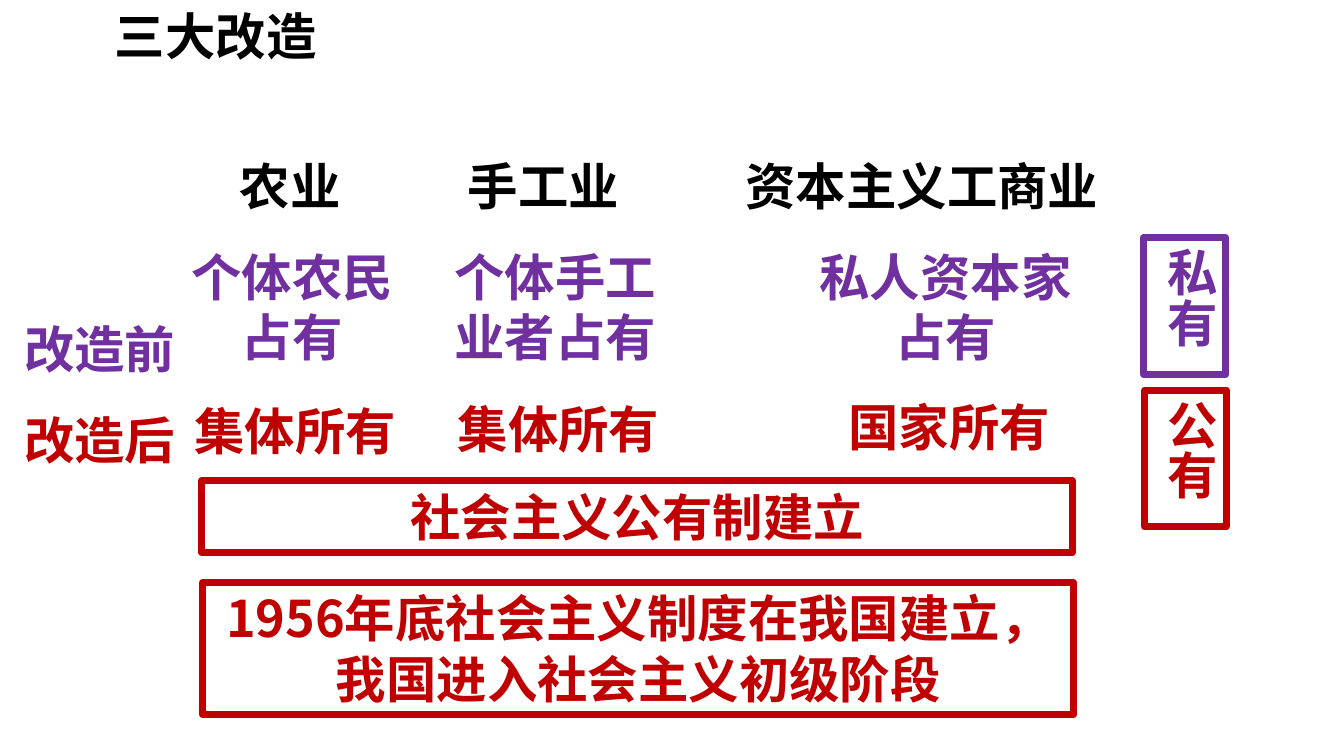
from lxml.etree import SubElement
from pptx import Presentation
from pptx.dml.color import RGBColor
from pptx.enum.shapes import MSO_SHAPE
from pptx.enum.text import MSO_ANCHOR, MSO_AUTO_SIZE, PP_ALIGN
from pptx.oxml.ns import qn
from pptx.util import Cm, Pt

FONT = "Noto Sans CJK JP"
BLACK = RGBColor(0x00, 0x00, 0x00)
PURPLE = RGBColor(0x70, 0x30, 0xA0)
RED = RGBColor(0xC0, 0x00, 0x00)
LINE, PAIR = 1.8, 3.33  # heights of one and two lines of text

deck = Presentation()
deck.slide_width, deck.slide_height = Cm(33.87), Cm(19.05)
slide = deck.slides.add_slide(deck.layouts[5] if hasattr(deck, "layouts") else deck.slide_layouts[5])
shapes = slide.shapes


def write(shape, text, colors, align=PP_ALIGN.CENTER, space=1.0, stops=()):
    frame = shape.text_frame
    frame.text = text
    frame.word_wrap = True
    frame.auto_size = MSO_AUTO_SIZE.SHAPE_TO_FIT_TEXT
    frame.vertical_anchor = MSO_ANCHOR.TOP
    for para, color in zip(frame.paragraphs, colors):
        para.alignment = align
        para.line_spacing = space
        if stops:
            tabs = SubElement(para._p.get_or_add_pPr(), qn("a:tabLst"))
            for stop in stops:
                SubElement(tabs, qn("a:tab"), pos=str(Cm(stop)), algn="l")
        font = para.font
        font.name, font.size, font.bold = FONT, Pt(36), True
        font.color.rgb = color
        SubElement(font._element, qn("a:ea"), typeface=FONT)


def place(x, y, w, h):
    return shapes.add_textbox(Cm(x), Cm(y), Cm(w), Cm(h))


# Title
title = shapes.title
title.left, title.top, title.width, title.height = Cm(2.64), Cm(0), Cm(5.84), Cm(LINE)
write(title, "三大改造", [BLACK], PP_ALIGN.LEFT)

# Column heads and row heads
write(place(5.79, 3.78, 26.11, LINE), "农业\t手工业\t资本主义工商业", [BLACK],
      PP_ALIGN.LEFT, stops=(5.75, 12.75))
write(place(0.36, 7.14, 5.38, 4.88), "改造前\n改造后", [PURPLE, RED], PP_ALIGN.LEFT, 1.5)

# Ownership before and after
cells = [
    ("个体农民占有", 4.19, 6.07, 6.35, PAIR, PURPLE),
    ("个体手工业者占有", 10.82, 6.07, 6.35, PAIR, PURPLE),
    ("私人资本家占有", 20.35, 6.07, 6.96, PAIR, PURPLE),
    ("集体所有", 4.27, 9.96, 6.35, LINE, RED),
    ("集体所有", 10.9, 9.91, 6.35, LINE, RED),
    ("国家所有", 20.75, 9.86, 6.35, LINE, RED),
]
for text, x, y, w, h, color in cells:
    write(place(x, y, w, h), text, [color])

# Framed labels: two upright, two wide
frames = [
    ("私有", 28.83, 5.99, 2.06, 3.45, PURPLE, True),
    ("公有", 28.85, 9.83, 2.06, 3.45, RED, True),
    ("社会主义公有制建立", 5.08, 12.12, 21.95, LINE, RED, False),
    ("1956年底社会主义制度在我国建立，我国进入社会主义初级阶段",
     5.11, 14.68, 21.95, PAIR, RED, False),
]
for text, x, y, w, h, color, upright in frames:
    box = shapes.add_shape(MSO_SHAPE.RECTANGLE, Cm(x), Cm(y), Cm(w), Cm(h))
    box.shadow.inherit = False
    box.fill.background()
    box.line.color.rgb = color
    box.line.width = Pt(5)
    SubElement(box.line._get_or_add_ln(), qn("a:round"))
    write(box, text, [color])
    if upright:
        box.text_frame._txBody.bodyPr.set("vert", "eaVert")

deck.save("out.pptx")
